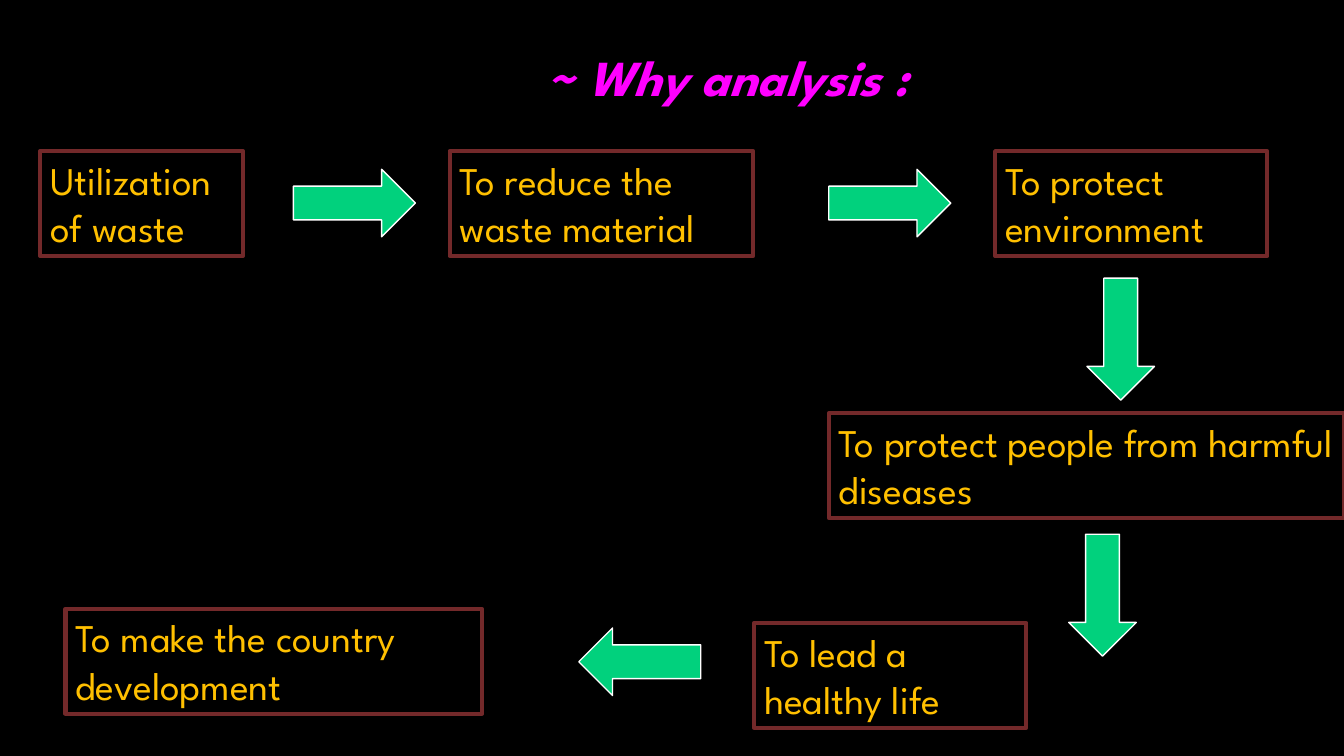
from pptx import Presentation
from pptx.dml.color import RGBColor
from pptx.enum import shapes, text
from pptx.util import Inches, Pt

BLACK = RGBColor(0x00, 0x00, 0x00)
WHITE = RGBColor(0xFF, 0xFF, 0xFF)
MAGENTA = RGBColor(0xFF, 0x00, 0xFF)
AMBER = RGBColor(0xFF, 0xC0, 0x00)
MAROON = RGBColor(0x73, 0x29, 0x2A)
GREEN = RGBColor(0x01, 0xD1, 0x7D)

BOX_HEIGHT = 1.04
ARROW_SIZE = (1.21, 0.67)
TOP_ROW = 1.5
TOP_ARROWS = 1.68

# Reasoning steps: wording, left, top, width
STEPS = [
    ("Utilization of waste", 0.4, TOP_ROW, 2.01),
    ("To reduce the waste material", 4.46, TOP_ROW, 3.01),
    ("To protect environment", 9.87, TOP_ROW, 2.7),
    ("To protect people from harmful diseases", 8.22, 4.1, 5.11),
    ("To lead a healthy life", 7.48, 6.18, 2.7),
    ("To make the country development", 0.65, 6.04, 4.13),
]

# Arrows between the steps: left, top, rotation
ARROWS = [
    (2.91, TOP_ARROWS, 0),
    (8.22, TOP_ARROWS, 0),
    (10.51, 3.03, 90),
    (10.33, 5.57, 90),
    (5.74, 6.23, 180),
]


class FlowSlide:
    """Holds the style and the current slide."""

    font_name = "League Spartan"

    def __init__(self, presentation):
        self.slide = presentation.slides.add_slide(presentation.slide_layouts[6])
        background = self.slide.background.fill
        background.solid()
        background.fore_color.rgb = BLACK

    def add_wording(self, shape, wording, size, color, emphasis=False):
        frame = shape.text_frame
        frame.word_wrap = True
        frame.auto_size = text.MSO_AUTO_SIZE.SHAPE_TO_FIT_TEXT
        frame.vertical_anchor = text.MSO_ANCHOR.TOP
        paragraph = frame.paragraphs[0]
        paragraph.alignment = text.PP_ALIGN.LEFT
        run = paragraph.add_run()
        run.text = wording
        run.font.name = self.font_name
        run.font.size = Pt(size)
        run.font.color.rgb = color
        run.font.bold = run.font.italic = emphasis

    def outlined(self, kind, left, top, width, height, color, weight):
        shape = self.slide.shapes.add_shape(
            kind, Inches(left), Inches(top), Inches(width), Inches(height))
        shape.shadow.inherit = False
        shape.line.color.rgb = color
        shape.line.width = Pt(weight)
        return shape

    def title(self, wording, left, top, width, height):
        box = self.slide.shapes.add_textbox(
            Inches(left), Inches(top), Inches(width), Inches(height))
        self.add_wording(box, wording, 36, MAGENTA, emphasis=True)

    def step(self, wording, left, top, width):
        box = self.outlined(shapes.MSO_SHAPE.RECTANGLE,
                            left, top, width, BOX_HEIGHT, MAROON, 3)
        box.fill.background()
        self.add_wording(box, wording, 28, AMBER)

    def arrow(self, left, top, rotation):
        arrow = self.outlined(shapes.MSO_SHAPE.RIGHT_ARROW,
                              left, top, *ARROW_SIZE, WHITE, 1)
        arrow.fill.solid()
        arrow.fill.fore_color.rgb = GREEN
        arrow.rotation = rotation


def main():
    presentation = Presentation()
    presentation.slide_width = Inches(13.33)
    presentation.slide_height = Inches(7.5)
    flow = FlowSlide(presentation)

    # Heading
    flow.title("~ Why analysis :", 5.31, 0.41, 4.3, 0.71)

    # Chain of reasons
    for step in STEPS:
        flow.step(*step)
    for arrow in ARROWS:
        flow.arrow(*arrow)

    presentation.save("out.pptx")


if __name__ == "__main__":
    main()
